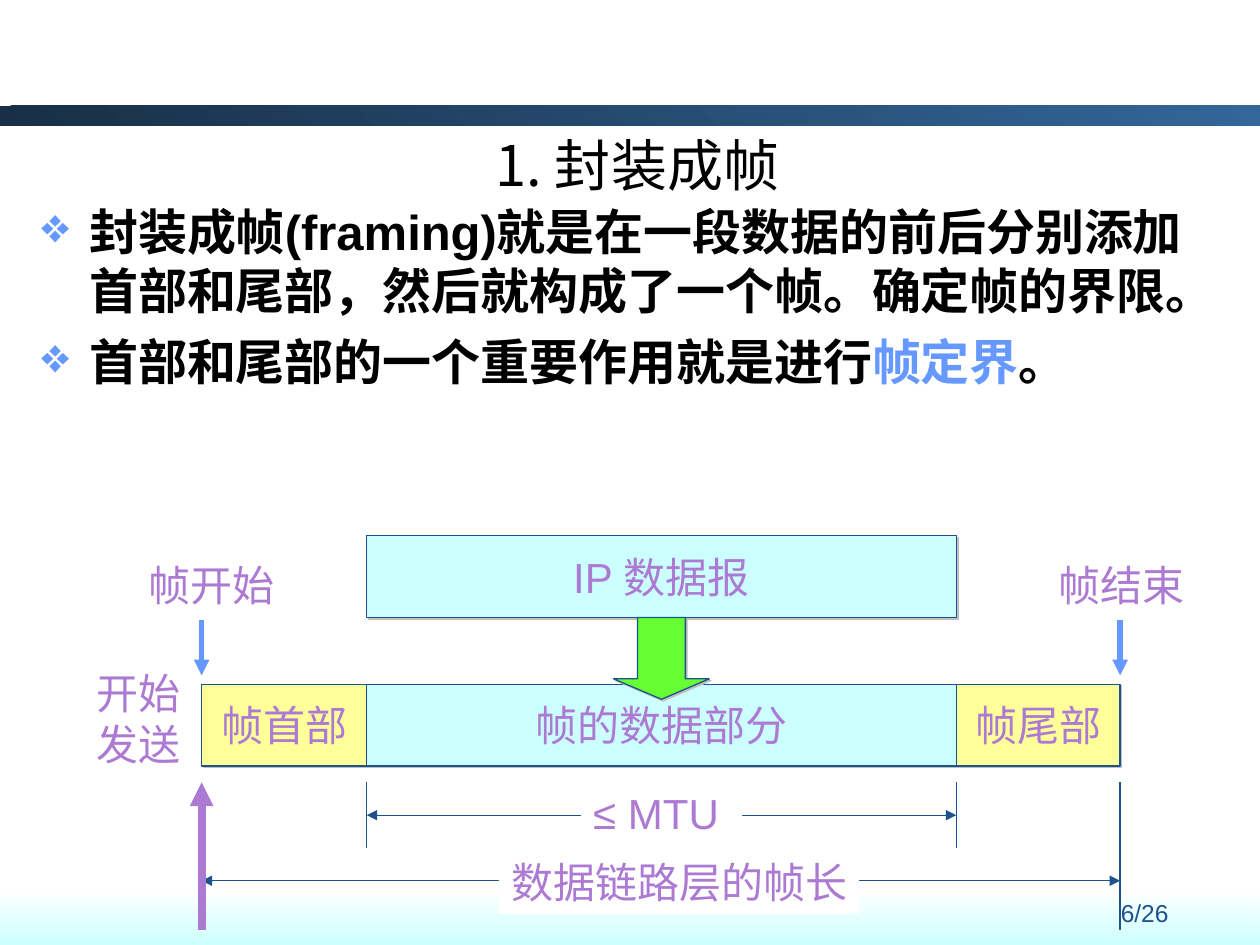
from lxml.etree import SubElement
from pptx import Presentation
from pptx.dml.color import RGBColor
from pptx.enum.shapes import MSO_CONNECTOR, MSO_SHAPE
from pptx.enum.text import MSO_ANCHOR, PP_ALIGN
from pptx.oxml.ns import qn
from pptx.util import Inches, Pt

INK, LILAC, SKY, NAVY = "000000", "AC7AD2", "6699FF", "1D528D"
YELLOW, CYAN, GREEN, WHITE = "FFFF99", "CCFFFF", "66FF33", "FFFFFF"
LATIN, CJK = "Arial", "Noto Sans CJK SC"

TITLE = "1. 封装成帧"
BULLETS = [
    [("封装成帧(framing)就是在一段数据的前后分别添加首部和尾部，然后就构成了一个帧。确定帧的界限。", INK)],
    [("首部和尾部的一个重要作用就是进行", INK), ("帧定界", SKY), ("。", INK)],
]
PAGE = "6/26"

EDGES = HEAD_X, DATA_X, TAIL_X, END_X = 1.6, 2.91, 7.59, 8.89
PACKET_Y, FRAME_Y, ROW_H = 4.25, 5.43, 0.65
MID_X = (DATA_X + TAIL_X) / 2
TICK_Y, MTU_Y, LENGTH_Y, FOOT_Y = 6.21, 6.47, 6.99, 7.38

BANDS = [(0.84, 0.16, "182F47", "336699", 45), (7.06, 0.44, WHITE, CYAN, 270)]
CELLS = [
    ("帧首部", 0, FRAME_Y, YELLOW),
    ("IP 数据报", 1, PACKET_Y, CYAN),
    ("帧的数据部分", 1, FRAME_Y, CYAN),
    ("帧尾部", 2, FRAME_Y, YELLOW),
]
LINES = [
    (DATA_X, MTU_Y, TAIL_X, MTU_Y, NAVY, 0.75, ("headEnd", "tailEnd")),
    (HEAD_X, LENGTH_Y, END_X, LENGTH_Y, NAVY, 0.75, ("headEnd", "tailEnd")),
    (HEAD_X, FOOT_Y, HEAD_X, TICK_Y, LILAC, 4.5, ("tailEnd",)),
    (END_X, TICK_Y, END_X, FOOT_Y, NAVY, 0.75, ()),
    (DATA_X, TICK_Y, DATA_X, 6.73, NAVY, 0.75, ()),
    (TAIL_X, TICK_Y, TAIL_X, 6.73, NAVY, 0.75, ()),
    (HEAD_X, 4.92, HEAD_X, 5.36, SKY, 3, ("tailEnd",)),
    (END_X, 4.92, END_X, 5.36, SKY, 3, ("tailEnd",)),
]
LABELS = [
    (["帧开始"], 1.08, 4.39, 1.2, 0.5),
    (["帧结束"], 8.3, 4.39, 1.2, 0.5),
    (["≤ MTU"], 4.61, 6.2, 1.28, 0.5),
    (["数据链路层的帧长"], 3.96, 6.75, 2.86, 0.5),
    (["开始", "发送"], 0.67, 5.25, 0.86, 0.9),
]


def rgb(color):
    """Turn a hex string into a colour."""
    return RGBColor.from_string(color)


def add_run(p, text, size, color, font=LATIN, bold=False):
    """Append one formatted run to a paragraph."""
    r = p.add_run()
    r.text = text
    r.font.size, r.font.name, r.font.bold = Pt(size), font, bold
    r.font.color.rgb = rgb(color)
    if font == CJK:
        SubElement(r._r.get_or_add_rPr(), qn("a:ea"), typeface=font)


def add_text(slide, box, wrap=True, anchor=MSO_ANCHOR.TOP):
    """Add a text box and return its text frame."""
    tf = slide.shapes.add_textbox(*map(Inches, box)).text_frame
    tf.word_wrap, tf.vertical_anchor = wrap, anchor
    return tf


def add_block(slide, kind, box, fill, outlined=True):
    """Add a filled shape, outlined with a hard grey shadow if asked."""
    sp = slide.shapes.add_shape(kind, *map(Inches, box))
    sp.shadow.inherit = False
    sp.fill.solid()
    sp.fill.fore_color.rgb = rgb(fill)
    if outlined:
        sp.line.color.rgb, sp.line.width = rgb(NAVY), Pt(0.75)
        effects = sp._element.spPr.find(qn("a:effectLst"))
        shadow = SubElement(effects, qn("a:outerShdw"), blurRad="0",
                            dist=str(Pt(1.4)), dir="2700000")
        SubElement(shadow, qn("a:srgbClr"), val="C0C0C0")
    else:
        sp.line.fill.background()
    return sp


def fill_block(sp, lines, align, anchor):
    """Write diagram text into a shape, one paragraph a line."""
    tf = sp.text_frame
    tf.word_wrap, tf.vertical_anchor = False, anchor
    for i, text in enumerate(lines):
        p = tf.add_paragraph() if i else tf.paragraphs[0]
        p.alignment = align
        add_run(p, text, 24, LILAC)


def add_band(slide, top, height, start, end, angle):
    """Add a full-width gradient band."""
    sp = slide.shapes.add_shape(MSO_SHAPE.RECTANGLE, 0, Inches(top), Inches(10), Inches(height))
    sp.shadow.inherit = False
    sp.line.fill.background()
    sp.fill.gradient()
    sp.fill.gradient_angle = angle
    for stop, color in zip(sp.fill.gradient_stops, (start, end)):
        stop.color.rgb = rgb(color)


def add_line(slide, x1, y1, x2, y2, color, width, ends):
    """Add a straight line with arrowheads at the named ends."""
    ln = slide.shapes.add_connector(MSO_CONNECTOR.STRAIGHT, *map(Inches, (x1, y1, x2, y2)))
    ln.line.color.rgb, ln.line.width = rgb(color), Pt(width)
    for end in ends:
        SubElement(ln.line._get_or_add_ln(), qn(f"a:{end}"), type="triangle")
    SubElement(ln._element.spPr, qn("a:effectLst"))


def add_bullets(slide):
    """Add the bulleted statements."""
    tf = add_text(slide, (0.23, 1.55, 9.3, 2.2))
    for i, runs in enumerate(BULLETS):
        p = tf.add_paragraph() if i else tf.paragraphs[0]
        pPr = p._p.get_or_add_pPr()
        pPr.set("marL", str(Inches(0.38)))
        pPr.set("indent", str(-Inches(0.38)))
        if i:
            p.space_before = Pt(6.8)
        SubElement(SubElement(pPr, qn("a:buClr")), qn("a:srgbClr"), val=SKY)
        SubElement(pPr, qn("a:buChar"), char="❖")
        for text, color in runs:
            add_run(p, text, 28, color, bold=True)


def main():
    """Build the slide and save it."""
    prs = Presentation()
    prs.slide_width, prs.slide_height = Inches(10), Inches(7.5)
    slide = prs.slides.add_slide(prs.slide_layouts[6])
    for band in BANDS:
        add_band(slide, *band)
    for box, text, size, color, font, anchor in [
        ((8.41, 7.08, 1.35, 0.35), PAGE, 14, NAVY, LATIN, MSO_ANCHOR.TOP),
        ((1.26, 0.84, 7.6, 0.92), TITLE, 32, INK, CJK, MSO_ANCHOR.MIDDLE),
    ]:
        p = add_text(slide, box, anchor=anchor).paragraphs[0]
        p.alignment = PP_ALIGN.CENTER
        add_run(p, text, size, color, font)
    add_bullets(slide)
    for text, col, top, fill in CELLS:
        box = (EDGES[col], top, EDGES[col + 1] - EDGES[col], ROW_H)
        sp = add_block(slide, MSO_SHAPE.RECTANGLE, box, fill)
        fill_block(sp, [text], PP_ALIGN.CENTER, MSO_ANCHOR.MIDDLE)
    for line in LINES:
        add_line(slide, *line)
    for lines, *box in LABELS:
        sp = add_block(slide, MSO_SHAPE.RECTANGLE, box, WHITE, outlined=False)
        fill_block(sp, lines, PP_ALIGN.LEFT, MSO_ANCHOR.TOP)
    arrow = (MID_X - 0.38, PACKET_Y + ROW_H, 0.76, ROW_H)
    sp = add_block(slide, MSO_SHAPE.DOWN_ARROW, arrow, GREEN)
    sp.adjustments[0], sp.adjustments[1] = 0.5, 0.25
    prs.save("out.pptx")


if __name__ == "__main__":
    main()
